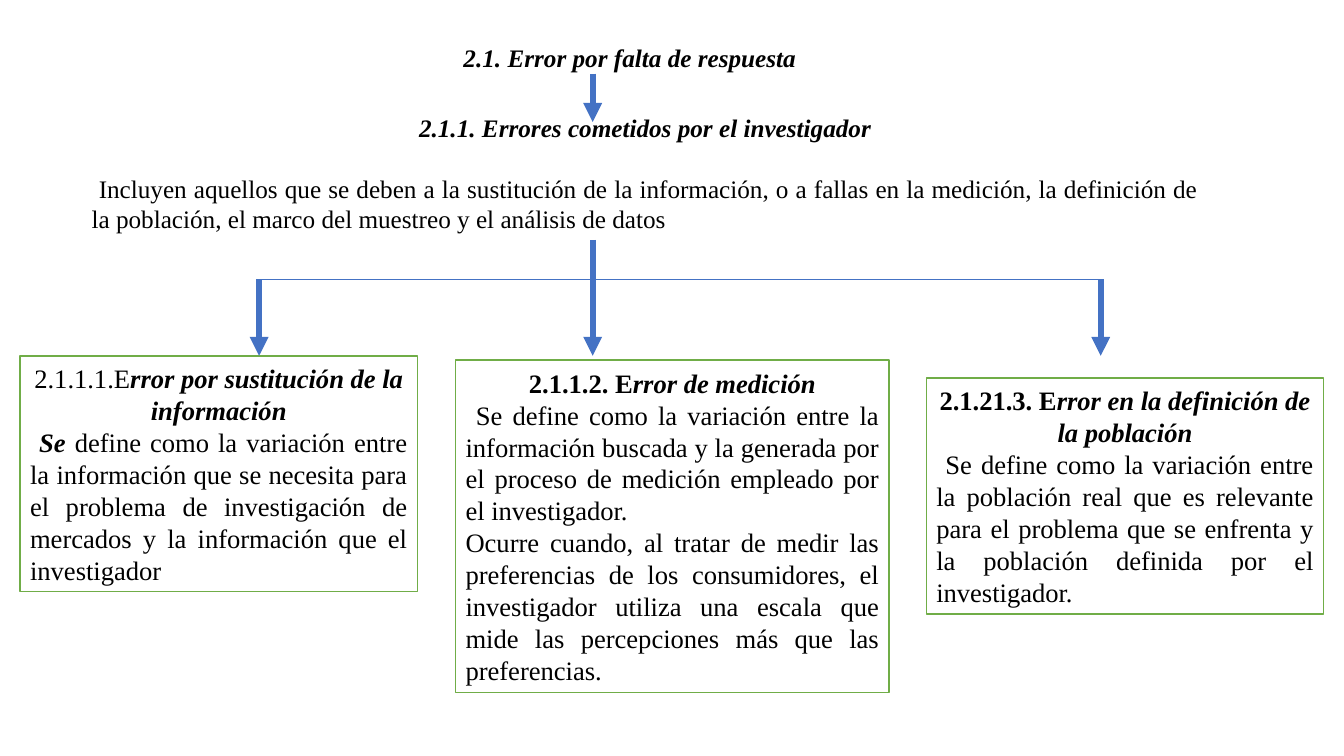
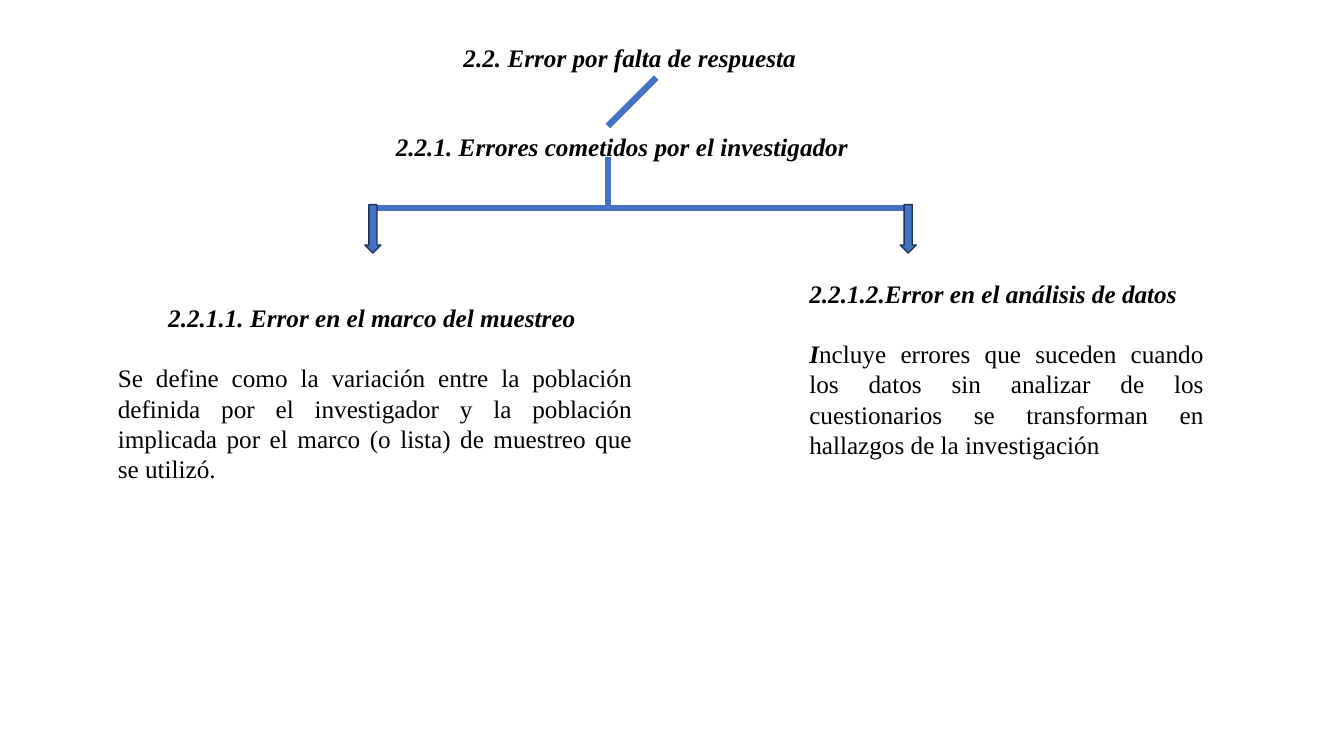
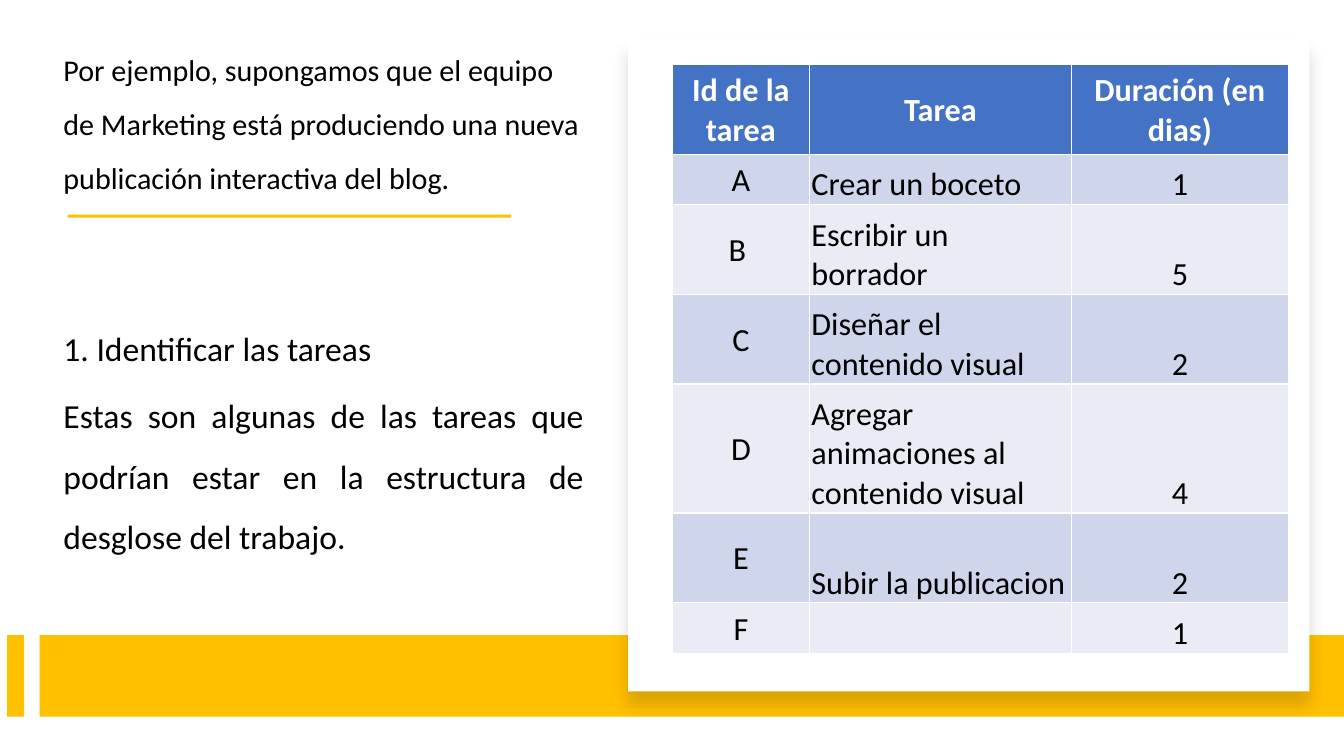
from dataclasses import dataclass
from typing import NamedTuple

from lxml import etree
from pptx import Presentation
from pptx import util as u
from pptx.dml import color
from pptx.enum import shapes, text
from pptx.oxml import ns

WIDTH, HEIGHT = 13.33, 7.5
COLORS = {
    "ink": "000000",
    "paper": "FFFFFF",
    "blue": "4472C4",
    "navy": "1E3256",
    "green": "70AD47",
    "gold": "FFC000",
    "band_dark": "CFD5EA",
    "band_light": "E9EBF5",
}
SERIF, SANS = "Times New Roman", "Calibri"
LEFT, CENTER, JUSTIFY = text.PP_ALIGN.LEFT, text.PP_ALIGN.CENTER, text.PP_ALIGN.JUSTIFY
RECTANGLE, DOWN_ARROW = shapes.MSO_SHAPE.RECTANGLE, shapes.MSO_SHAPE.DOWN_ARROW
BLANK_LINE = 21.5


class Area(NamedTuple):
    """Percent of the slide's width and height."""

    left: float
    top: float
    width: float
    height: float


class Span(NamedTuple):
    words: str
    bold: bool = False
    italic: bool = False


@dataclass(frozen=True)
class Para:
    spans: tuple[Span, ...]
    align: text.PP_ALIGN = JUSTIFY
    size: float = 18
    font: str = SERIF
    color: str = "ink"
    before: float = 0
    after: float = 0
    spacing: float = 1.0


@dataclass(frozen=True)
class TextBlock:
    area: Area
    paras: tuple[Para, ...]
    framed: bool = False


@dataclass(frozen=True)
class Link:
    start: tuple[float, float]
    end: tuple[float, float]
    weight: float = 4.5
    arrow: bool = False


def across(share: float) -> int:
    return u.Inches(WIDTH * share / 100)


def down(share: float) -> int:
    return u.Inches(HEIGHT * share / 100)


def place(area: Area) -> tuple[int, int, int, int]:
    return across(area.left), down(area.top), across(area.width), down(area.height)


def rgb(name: str) -> color.RGBColor:
    return color.RGBColor.from_string(COLORS[name])


def write(frame, paras: tuple[Para, ...]) -> None:
    frame.word_wrap = True
    for index, para in enumerate(paras):
        paragraph = frame.add_paragraph() if index else frame.paragraphs[0]
        paragraph.alignment = para.align
        paragraph.space_before, paragraph.space_after = u.Pt(para.before), u.Pt(para.after)
        paragraph.line_spacing = para.spacing
        paragraph.font.name, paragraph.font.size = para.font, u.Pt(para.size)
        paragraph.font.color.rgb = rgb(para.color)
        for span in para.spans:
            run = paragraph.add_run()
            run.text = span.words
            run.font.bold, run.font.italic = span.bold, span.italic


def draw_shape(page, area: Area, fill: str, line: str = "", kind=RECTANGLE):
    shape = page.shapes.add_shape(kind, *place(area))
    shape.shadow.inherit = False
    shape.fill.solid()
    shape.fill.fore_color.rgb = rgb(fill)
    if line:
        shape.line.color.rgb = rgb(line)
        shape.line.width = u.Pt(1)
    else:
        shape.line.fill.background()
    return shape


def draw_text(page, block: TextBlock) -> None:
    if block.framed:
        box = draw_shape(page, block.area, "paper", "green")
    else:
        box = page.shapes.add_textbox(*place(block.area))
    write(box.text_frame, block.paras)


def draw_link(page, link: Link) -> None:
    (x1, y1), (x2, y2) = link.start, link.end
    line = page.shapes.add_connector(
        shapes.MSO_CONNECTOR.STRAIGHT, across(x1), down(y1), across(x2), down(y2))
    line.line.color.rgb = rgb("blue")
    line.line.width = u.Pt(link.weight)
    if link.arrow:
        etree.SubElement(line.line._get_or_add_ln(), ns.qn("a:tailEnd"), type="triangle")
    etree.SubElement(line._element.spPr, ns.qn("a:effectLst"))


def add_shadow(shape, blur: float, distance: float, alpha: int) -> None:
    effects = shape._element.spPr.find(ns.qn("a:effectLst"))
    shadow = etree.SubElement(
        effects, ns.qn("a:outerShdw"), blurRad=str(u.Pt(blur)), dist=str(u.Pt(distance)),
        dir="5400000", algn="t", rotWithShape="0")
    tint = etree.SubElement(shadow, ns.qn("a:srgbClr"), val=COLORS["ink"])
    etree.SubElement(tint, ns.qn("a:alpha"), val=str(alpha * 1000))


def heading(words: str, align: text.PP_ALIGN = CENTER) -> Para:
    return Para((Span(words, True, True),), align)


def definition(words: str, lead: str = "") -> Para:
    spans = (Span(lead, True, True),) if lead else ()
    return Para(spans + (Span(words),), before=BLANK_LINE)


def card(area: Area, title: tuple[Span, ...], *body: tuple[Span, ...]) -> TextBlock:
    paras = (Para(title, CENTER, 19),) + tuple(Para(spans, size=19) for spans in body)
    return TextBlock(area, paras, framed=True)


def draw_diagram(page, title: str, blocks: list[TextBlock], links: list[Link]) -> None:
    draw_text(page, TextBlock(Area(33.75, 4.93, 39.2, 5.33), (heading(title, JUSTIFY),)))
    for block in blocks:
        draw_text(page, block)
    for link in links:
        draw_link(page, link)


def build_researcher_errors(page) -> None:
    trunk, fork, tips = 44.1, 36.93, 47.07
    left_branch, right_branch = 19.28, 81.9
    blocks = [
        TextBlock(Area(6.08, 14.27, 83.85, 17.47), (
            heading("2.1.1. Errores cometidos por el investigador"),
            definition("Incluyen aquellos que se deben a la sustitución de la información, "
                       "o a fallas en la medición, la definición de la población, el marco "
                       "del muestreo y el análisis de datos", " "),
        )),
        card(Area(1.5, 47.07, 29.55, 31.2),
             (Span("2.1.1.1.E"),
              Span("rror por sustitución de la información", True, True)),
             (Span(" Se", True, True),
              Span(" define como la variación entre la información que se necesita para el "
                   "problema de investigación de mercados y la información que el "
                   "investigador "))),
        card(Area(33.9, 47.6, 32.25, 44),
             (Span("2.1.1.2. E", True), Span("rror de medición", True, True)),
             (Span(" Se define como la variación entre la información buscada y la generada "
                   "por el proceso de medición empleado por el investigador. "),),
             (Span("Ocurre cuando, al tratar de medir las preferencias de los consumidores, "
                   "el investigador utiliza una escala que mide las percepciones más que "
                   "las preferencias."),)),
        card(Area(68.93, 50, 29.55, 31.2),
             (Span("2.1.21.3. E", True),
              Span("rror en la definición de la población", True, True)),
             (Span(" Se define como la variación entre la población real que es relevante "
                   "para el problema que se enfrenta y la población definida por el "
                   "investigador. "),)),
    ]
    links = [
        Link((trunk, 9.73), (trunk, 16.13), arrow=True),
        Link((left_branch, fork), (right_branch, fork), weight=0.5),
        Link((trunk, 31.73), (trunk, tips), arrow=True),
    ]
    links += [Link((x, fork), (x, tips), arrow=True) for x in (left_branch, right_branch)]
    draw_diagram(page, "2.1. Error por falta de respuesta", blocks, links)


def build_frame_errors(page) -> None:
    trunk, fork = 45.23, 27.47
    blocks = [
        TextBlock(Area(4.35, 16.67, 83.85, 5.33),
                  (heading("2.2.1. Errores cometidos por el investigador"),)),
        TextBlock(Area(8.03, 39.33, 39.75, 25.6), (
            heading("2.2.1.1. Error en el marco del muestreo "),
            definition("Se define como la variación entre la población definida por el "
                       "investigador y la población implicada por el marco (o lista) de "
                       "muestreo que se utilizó."),
        )),
        TextBlock(Area(59.48, 36.13, 30.83, 25.6), (
            heading("2.2.1.2.Error en el análisis de datos", LEFT),
            definition("ncluye errores que suceden cuando los datos sin analizar de los "
                       "cuestionarios se transforman en hallazgos de la investigación", "I"),
        )),
    ]
    links = [
        Link((48.83, 10.27), (trunk, 16.67)),
        Link((trunk, 20.8), (trunk, 27.2)),
        Link((27.75, fork), (67.88, fork)),
    ]
    draw_diagram(page, "2.2. Error por falta de respuesta", blocks, links)
    for left in (27.15, 66.98):
        draw_shape(page, Area(left, 27.07, 1.2, 6.4), "blue", "navy", DOWN_ARROW)


def draw_task_table(page) -> None:
    columns = (10.2, 19.5, 16.13)
    heights = (11.87, 6.67, 11.87, 11.87, 17.07, 11.87, 6.67)
    rows = (
        ("Id de la tarea", "Tarea", "Duración (en dias)"),
        ("A", "Crear un boceto", "1"),
        ("B ", "Escribir un borrador", "5"),
        ("C", "Diseñar el contenido visual", "2"),
        ("D", "Agregar animaciones al contenido visual", "4"),
        ("E", "Subir la publicacion", "2"),
        ("F", "", "1"),
    )
    area = Area(50.03, 8.53, sum(columns), sum(heights))
    table = page.shapes.add_table(len(rows), len(columns), *place(area)).table
    for column, width in zip(table.columns, columns):
        column.width = across(width)
    for r, (row, height) in enumerate(zip(rows, heights)):
        table.rows[r].height = down(height)
        header = r == 0
        fill = "blue" if header else "band_dark" if r % 2 else "band_light"
        for c, words in enumerate(row):
            cell = table.cell(r, c)
            cell.fill.solid()
            cell.fill.fore_color.rgb = rgb(fill)
            cell.margin_left = cell.margin_right = cell.margin_top = u.Inches(0.02)
            cell.margin_bottom = 0
            middle = header or c == 0
            cell.vertical_anchor = text.MSO_ANCHOR.MIDDLE if middle else text.MSO_ANCHOR.BOTTOM
            spans = (Span(words, header),) if words else ()
            align = LEFT if c == 1 and not header else CENTER
            ink = "paper" if header else "ink"
            write(cell.text_frame, (Para(spans, align, 23, SANS, ink),))


def build_task_list(page) -> None:
    draw_shape(page, Area(5.03, 28.4, 33, 0.4), "gold")
    draw_text(page, TextBlock(Area(3.98, 3.73, 40.2, 66), (
        Para((Span("Por ejemplo, supongamos que el equipo de Marketing está produciendo "
                   "una nueva publicación interactiva del blog."),),
             LEFT, 21.5, SANS, after=102, spacing=1.5),
        Para((Span("1. Identificar las tareas"),), LEFT, 24, SANS, after=6, spacing=0.7),
        Para((Span("Estas son algunas de las tareas que podrían estar en la estructura de "
                   "desglose del trabajo."),), JUSTIFY, 24, SANS, after=6, spacing=1.5),
    )))
    for left, width in ((0.53, 1.27), (2.96, 97.04)):
        draw_shape(page, Area(left, 84, width, 10.8), "gold")
    panel = draw_shape(page, Area(46.73, 5.2, 50.7, 86.27), "paper")
    add_shadow(panel, blur=11, distance=10, alpha=15)
    draw_task_table(page)


def main() -> None:
    deck = Presentation()
    deck.slide_width, deck.slide_height = u.Inches(WIDTH), u.Inches(HEIGHT)
    for build in (build_researcher_errors, build_frame_errors, build_task_list):
        build(deck.slides.add_slide(deck.slide_layouts[6]))
    deck.save("out.pptx")


if __name__ == "__main__":
    main()
